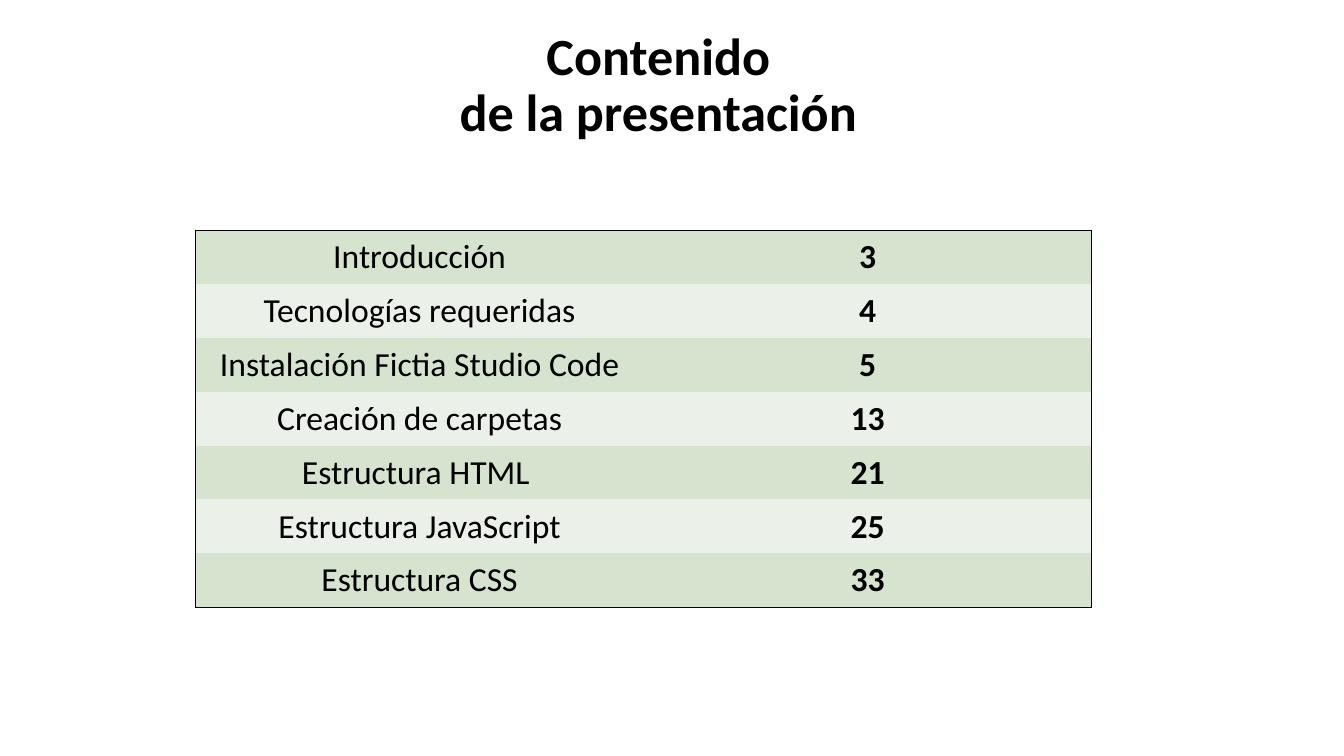
from dataclasses import dataclass

from lxml import etree
from pptx import Presentation
from pptx.dml.color import RGBColor
from pptx.enum.text import MSO_ANCHOR, MSO_AUTO_SIZE, PP_ALIGN
from pptx.oxml.ns import qn
from pptx.util import Cm, Pt

CENTER = PP_ALIGN.CENTER
MIDDLE = MSO_ANCHOR.MIDDLE
FIT_SHAPE = MSO_AUTO_SIZE.SHAPE_TO_FIT_TEXT
TITLE_ONLY = 5

TITLE_LINES = ["Contenido", "de la presentación"]
CONTENTS = [
    ("Introducción", 3),
    ("Tecnologías requeridas", 4),
    ("Instalación Fictia Studio Code", 5),
    ("Creación de carpetas", 13),
    ("Estructura HTML ", 21),
    ("Estructura JavaScript", 25),
    ("Estructura CSS", 33),
]


@dataclass(frozen=True)
class Theme:
    font: str = "Calibri"
    title_size: float = 37.3
    table_size: float = 24
    ink: str = "000000"
    bands: tuple = ("D5E3CF", "EBF1E9")
    border_width: float = 1


class SlideBuilder:
    def __init__(self, deck, theme):
        self.theme = theme
        self.slide = deck.slides.add_slide(deck.slide_layouts[TITLE_ONLY])

    def style(self, para, size, bold):
        para.alignment = CENTER
        para.font.name = self.theme.font
        para.font.size = Pt(size)
        para.font.bold = bold
        para.font.color.rgb = RGBColor.from_string(self.theme.ink)

    def title(self, lines, left, top, width, height):
        box = self.slide.shapes.title
        box.left, box.top, box.width, box.height = left, top, width, height
        frame = box.text_frame
        frame.text = "\n".join(lines)
        frame.word_wrap = True
        frame.auto_size = FIT_SHAPE
        frame.vertical_anchor = MIDDLE
        for para in frame.paragraphs:
            self.style(para, self.theme.title_size, True)
            para.line_spacing = 0.9

    def borders(self, cell, outer):
        """Draw the cell's outer sides and hide the others."""
        properties = cell._tc.get_or_add_tcPr()
        for index, side in enumerate("LRTB"):
            line = etree.Element(qn(f"a:ln{side}"), w=str(Pt(self.theme.border_width)))
            if side in outer:
                fill = etree.SubElement(line, qn("a:solidFill"))
                etree.SubElement(fill, qn("a:srgbClr"), val=self.theme.ink)
            else:
                etree.SubElement(line, qn("a:noFill"))
            properties.insert(index, line)

    def table(self, rows, left, top, width, row_height):
        row_count, column_count = len(rows), len(rows[0])
        frame = self.slide.shapes.add_table(
            row_count, column_count, left, top, width, row_height * row_count)
        table = frame.table
        table.first_row = table.horz_banding = False
        for r, values in enumerate(rows):
            band = self.theme.bands[r % len(self.theme.bands)]
            for c, value in enumerate(values):
                cell = table.cell(r, c)
                cell.text = str(value)
                cell.margin_left = cell.margin_right = Cm(0.33)
                cell.margin_top = cell.margin_bottom = Cm(0.17)
                self.style(cell.text_frame.paragraphs[0], self.theme.table_size, c > 0)
                cell.fill.solid()
                cell.fill.fore_color.rgb = RGBColor.from_string(band)
                edges = {"L": c == 0, "R": c == column_count - 1,
                         "T": r == 0, "B": r == row_count - 1}
                self.borders(cell, [side for side, is_outer in edges.items() if is_outer])


def main():
    deck = Presentation()
    deck.slide_width, deck.slide_height = Cm(33.87), Cm(19.05)
    page = SlideBuilder(deck, Theme())

    # Heading
    page.title(TITLE_LINES, Cm(1.99), Cm(0.62), Cm(29.21), Cm(3.12))

    # Table of contents
    page.table(CONTENTS, Cm(4.93), Cm(5.8), Cm(22.58), Cm(1.35))

    deck.save("out.pptx")


if __name__ == "__main__":
    main()
